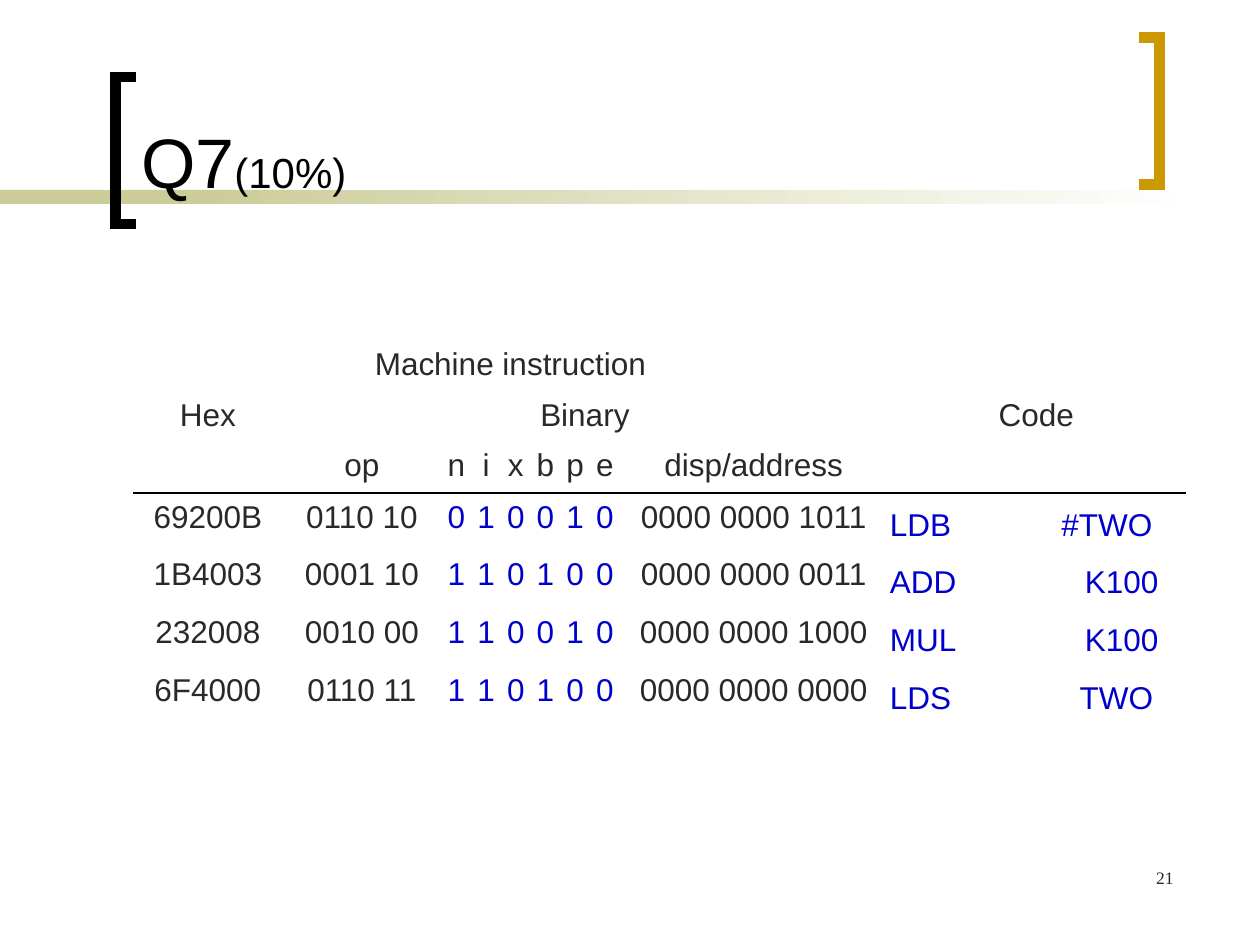
from lxml import etree
from pptx import Presentation
from pptx import util as u
from pptx.dml import color
from pptx.enum import shapes, text
from pptx.oxml import ns

BLACK, GOLD, KHAKI, WHITE = "000000", "CC9900", "CCCC99", "FFFFFF"
INK, ANSWER = "292929", "0000CC"
FLAGS = range(2, 8)
CODE = 9
HEADER_ROWS = 3
COLUMN_WIDTHS = [85, 91] + [17] * len(FLAGS) + [153, 170]
HEADER_HEIGHT, DATA_HEIGHT = 29, 33.1

# Hex, op, flag bits, displacement, mnemonic, operand, operand tab stop
INSTRUCTIONS = [
    ("69200B", "0110 10", "010010", "0000 0000 1011", "LDB", "#TWO", 98),
    ("1B4003", "0001 10", "110100", "0000 0000 0011", "ADD", "K100", 111.4),
    ("232008", "0010 00", "110010", "0000 0000 1000", "MUL", "K100", 111.4),
    ("6F4000", "0110 11", "110100", "0000 0000 0000", "LDS", "TWO", 108.4),
]


def rgb(hex_value):
    return color.RGBColor.from_string(hex_value)


def set_font(font, size, hex_value, name="Arial"):
    font.size, font.name = u.Pt(size), name
    font.color.rgb = rgb(hex_value)


def add_band(slide, left, width, fade_to=None):
    band = slide.shapes.add_shape(shapes.MSO_SHAPE.RECTANGLE, u.Pt(left), u.Pt(108.6),
                                  u.Pt(width), u.Pt(8))
    band.shadow.inherit = False
    band.line.fill.background()
    if fade_to:
        band.fill.gradient()
        band.fill.gradient_angle = 0
        for stop, hex_value in zip(band.fill.gradient_stops, (KHAKI, fade_to)):
            stop.color.rgb = rgb(hex_value)
    else:
        band.fill.solid()
        band.fill.fore_color.rgb = rgb(KHAKI)


def add_bracket(slide, spine, tip, top, hex_value):
    bottom = top + 84
    builder = slide.shapes.build_freeform(u.Pt(tip), u.Pt(top), scale=1.0)
    corners = [(spine, top), (spine, bottom), (tip, bottom)]
    builder.add_line_segments([(u.Pt(x), u.Pt(y)) for x, y in corners], close=False)
    bracket = builder.convert_to_shape()
    bracket.shadow.inherit = False
    bracket.fill.background()
    bracket.line.width = u.Pt(6)
    bracket.line.color.rgb = rgb(hex_value)
    outline = bracket.line._get_or_add_ln()
    etree.SubElement(outline, ns.qn("a:miter"), lim="800000")


def set_title(slide):
    title = slide.shapes.title
    title.left, title.top, title.width, title.height = map(u.Pt, (73.4, 8, 564, 111.6))
    frame = title.text_frame
    frame.auto_size = text.MSO_AUTO_SIZE.NONE
    frame.vertical_anchor = text.MSO_ANCHOR.BOTTOM
    heading = frame.paragraphs[0]
    heading.alignment = text.PP_ALIGN.LEFT
    for words, size in (("Q7", 40), ("(10%)", 24)):
        run = heading.add_run()
        run.text = words
        set_font(run.font, size, BLACK)
    # Bring the title in front of the band
    slide.shapes._spTree.append(title._element)


def add_rule(cell, side):
    rule = etree.Element(ns.qn(f"a:{side}"), w=str(u.Pt(0.96)))
    fill = etree.SubElement(rule, ns.qn("a:solidFill"))
    etree.SubElement(fill, ns.qn("a:srgbClr"), val=BLACK)
    cell._tc.get_or_add_tcPr().insert(0, rule)


def write_cell(cell, words, hex_value=INK, align=text.PP_ALIGN.CENTER):
    cell.text = words
    paragraph = cell.text_frame.paragraphs[0]
    paragraph.alignment = align
    set_font(paragraph.font, 18, hex_value)
    return paragraph


def write_code(cell, mnemonic, operand, operand_stop):
    line = write_cell(cell, f"{mnemonic}\t{operand}", ANSWER, text.PP_ALIGN.LEFT)
    cell.margin_top = u.Pt(8.2)
    tabs = etree.SubElement(line._p.get_or_add_pPr(), ns.qn("a:tabLst"))
    etree.SubElement(tabs, ns.qn("a:tab"), pos=str(u.Pt(operand_stop)), algn="l")
    # Tab stops come before the default run properties
    tabs.getparent().insert(0, tabs)


def write_headers(table):
    table.cell(0, 0).merge(table.cell(0, CODE - 1))
    table.cell(1, 1).merge(table.cell(1, CODE - 1))
    table.cell(1, CODE).merge(table.cell(2, CODE))
    write_cell(table.cell(0, 0), "Machine instruction")
    for column, words in ((0, "Hex"), (1, "Binary"), (CODE, "Code")):
        write_cell(table.cell(1, column), words)
    for column, words in enumerate(["op", *"nixbpe", "disp/address"], 1):
        write_cell(table.cell(2, column), words)


def add_instruction_table(slide):
    row_count = HEADER_ROWS + len(INSTRUCTIONS)
    heights = [HEADER_HEIGHT] * HEADER_ROWS + [DATA_HEIGHT] * len(INSTRUCTIONS)
    table = slide.shapes.add_table(row_count, len(COLUMN_WIDTHS), u.Pt(76.3), u.Pt(194.4),
                                   u.Pt(sum(COLUMN_WIDTHS)), u.Pt(sum(heights))).table
    table.first_row = table.horz_banding = False
    for column, width in zip(table.columns, COLUMN_WIDTHS):
        column.width = u.Pt(width)
    for row, height in zip(table.rows, heights):
        row.height = u.Pt(height)
    for cell in table.iter_cells():
        cell.fill.background()
        cell.margin_left = cell.margin_right = u.Pt(1.4)

    write_headers(table)
    for row, (hex_code, op, bits, disp, *code) in enumerate(INSTRUCTIONS, HEADER_ROWS):
        for column, words in enumerate([hex_code, op, *bits, disp]):
            write_cell(table.cell(row, column), words, ANSWER if column in FLAGS else INK)
        write_code(table.cell(row, CODE), *code)

    # Rule between the headers and the instructions
    for column in range(len(COLUMN_WIDTHS)):
        add_rule(table.cell(HEADER_ROWS - 1, column), "lnB")
        add_rule(table.cell(HEADER_ROWS, column), "lnT")
    add_rule(table.cell(1, CODE), "lnB")


def add_page_number(slide):
    box = slide.shapes.add_textbox(u.Pt(527.8), u.Pt(491.8), u.Pt(149.8), u.Pt(36))
    box.text_frame.word_wrap = True
    number = box.text_frame.paragraphs[0]
    number.text = "21"
    number.alignment = text.PP_ALIGN.RIGHT
    set_font(number.font, 10, INK, "Times New Roman")


def main():
    deck = Presentation()
    deck.slide_width, deck.slide_height = u.Pt(720), u.Pt(540)
    slide = deck.slides.add_slide(deck.slide_layouts[5])

    # Band and brackets around the title
    add_band(slide, 0, 168)
    add_band(slide, 113.8, 570, fade_to=WHITE)
    add_bracket(slide, spine=66, tip=78, top=44, hex_value=BLACK)
    add_bracket(slide, spine=662.6, tip=650.6, top=21.4, hex_value=GOLD)

    set_title(slide)
    add_instruction_table(slide)
    add_page_number(slide)
    deck.save("out.pptx")


if __name__ == "__main__":
    main()
